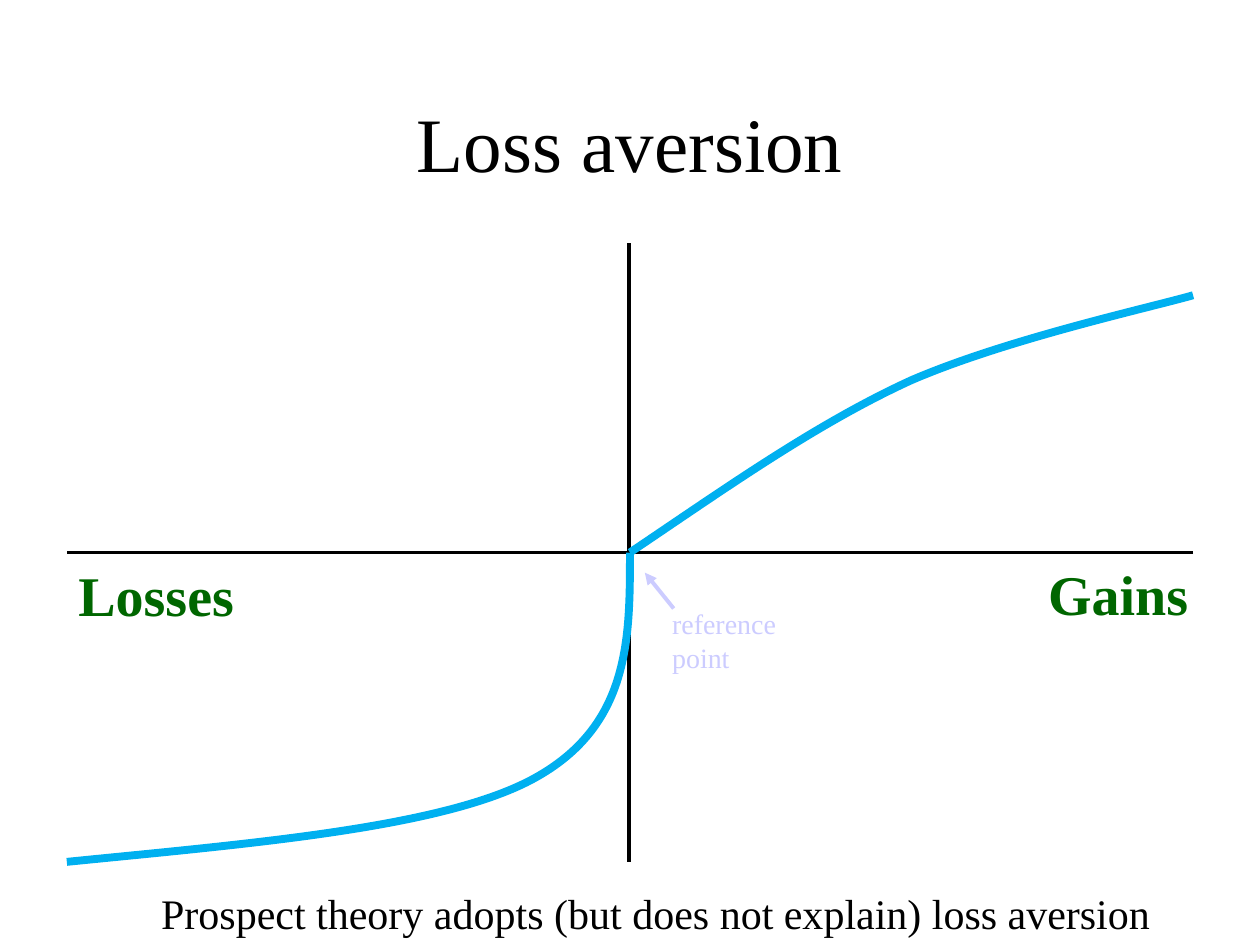
import pptx
import pptx.util
import pptx.oxml.ns
import lxml.etree
from pptx.dml.color import RGBColor
from pptx.enum.shapes import MSO_CONNECTOR
from pptx.enum.text import MSO_ANCHOR, PP_ALIGN

Pt = pptx.util.Pt
qn = pptx.oxml.ns.qn

FONT = "Times New Roman"
COLORS = {
    "text": "000000",
    "label": "006600",
    "note": "CCCCFF",
    "curve": "00B0F0",
}


def rgb(name):
    return RGBColor.from_string(COLORS[name])


def add_text(slide, box, text, size, color, bold=False, wrap=True):
    sp = slide.shapes.add_textbox(*(Pt(v) for v in box))
    tf = sp.text_frame
    tf.word_wrap = wrap
    p = tf.paragraphs[0]
    p.text = text
    p.font.name = FONT
    p.font.size = Pt(size)
    p.font.bold = bold
    p.font.color.rgb = rgb(color)
    return tf


def add_line(shapes, start, end, color, arrow=False):
    line = shapes.add_connector(
        MSO_CONNECTOR.STRAIGHT, *(Pt(v) for v in (*start, *end)))
    line.line.color.rgb = rgb(color)
    line.line.width = Pt(2.25)
    if arrow:
        lxml.etree.SubElement(line.line._get_or_add_ln(), qn("a:tailEnd"), type="triangle")
    lxml.etree.SubElement(line._element.spPr, qn("a:effectLst"))


def add_curve(slide, box, points):
    """Draw a Bezier curve; points are fractions of the box."""
    x, y, w, h = box
    nodes = [(Pt(x + fx * w), Pt(y + fy * h)) for fx, fy in points]
    builder = slide.shapes.build_freeform(*nodes[0])
    builder.add_line_segments(nodes[1:], close=False)
    sp = builder.convert_to_shape()
    sp.shadow.inherit = False
    sp.fill.background()
    sp.line.color.rgb = rgb("curve")
    sp.line.width = Pt(4.5)
    # Every three straight segments become one cubic segment
    segments = list(sp._element.iter(qn("a:lnTo")))
    for i in range(0, len(segments), 3):
        cubic = lxml.etree.Element(qn("a:cubicBezTo"))
        segments[i].addprevious(cubic)
        for segment in segments[i:i + 3]:
            cubic.append(segment[0])
            segment.getparent().remove(segment)


def add_title(slide, box):
    tf = add_text(slide, box, "Loss aversion", 44, "text")
    tf.vertical_anchor = MSO_ANCHOR.MIDDLE
    tf.paragraphs[0].alignment = PP_ALIGN.CENTER


def add_value_graph(slide, box):
    x, y, w, h = box
    cx, cy = x + w / 2, y + h / 2

    # Axis labels and reference point
    add_text(slide, (x - 0.5, cy + 1, 104, 46), "Losses", 32, "label", True, False)
    add_text(slide, (cx + 17, cy + 27.5, 93, 46), "reference point", 16, "note")
    add_line(slide.shapes, (cx + 25, cy + 32), (cx + 8.5, cy + 11.5), "note", arrow=True)
    add_text(slide, (x + w - 90, cy + 0.5, 95, 46), "Gains", 32, "label", True, False)

    # Axes
    axes = slide.shapes.add_group_shape()
    add_line(axes.shapes, (cx - 0.5, y), (cx - 0.5, y + h), "text")
    add_line(axes.shapes, (x + w, cy), (x, cy), "text")

    # Value curves
    add_curve(slide, (cx, cy - 147, w / 2, 147),
              [(0, 1), (0.17, 0.75), (0.33, 0.5), (0.5, 0.33),
               (0.67, 0.17), (0.92, 0.05), (1, 0)])
    add_curve(slide, (x, cy, w / 2, h / 2),
              [(1, 0), (1, 0.28), (1, 0.56), (0.83, 0.73),
               (0.67, 0.89), (0.33, 0.94), (0, 1)])


def add_conclusion(slide, box):
    add_text(slide, box, "Prospect theory adopts (but does not explain) loss aversion", 24, "text")


def main():
    prs = pptx.Presentation()
    prs.slide_width, prs.slide_height = Pt(720), Pt(540)
    slide = prs.slides.add_slide(prs.slide_layouts[6])
    add_title(slide, (54, 36, 612, 90))
    add_value_graph(slide, (38.2, 139, 643.6, 353.5))
    add_conclusion(slide, (85, 503.5, 655, 36.5))
    prs.save("out.pptx")


if __name__ == "__main__":
    main()
